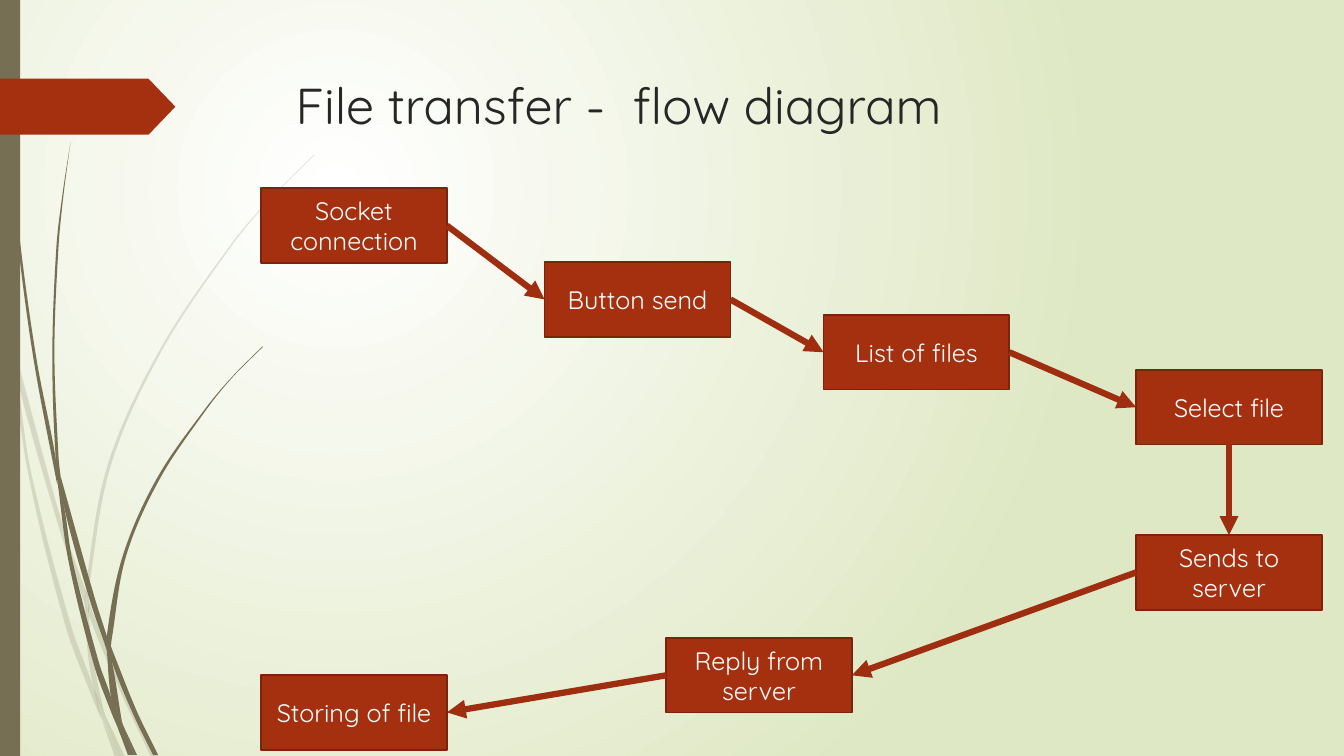
from itertools import pairwise

from lxml.etree import SubElement
from pptx import Presentation
from pptx.dml.color import RGBColor
from pptx.enum.shapes import MSO_CONNECTOR, MSO_SHAPE
from pptx.enum.text import MSO_ANCHOR, MSO_AUTO_SIZE, PP_ALIGN
from pptx.oxml import parse_xml
from pptx.oxml.ns import nsdecls, qn
from pptx.util import Pt

FONT = "Quicksand"
RUST, RUST_EDGE, RUST_ARROW = "A53010", "7A240C", "9E2E0F"
OLIVE, WHITE, INK, LIME = "766F54", "FFFFFF", "262626", "DFE8C4"
TOP, LEFT, BOTTOM, RIGHT = range(4)  # connection sites of a rectangle
BOX_W, BOX_H = 132.75, 53.25

# Each blade: its left edge and its right edge, both from tip to root
PALE_BLADES = [
    ([(0, 215), (7.2, 247.7), (7.9, 252)], [(0, 203), (6.5, 231.8), (7.9, 252)]),
    ([(10.1, 248.4), (12.2, 270.7), (41.8, 375.8), (60.5, 431.3)],
     [(10.1, 248.4), (44.6, 374.4), (61.2, 421.9)]),
    ([(63.4, 429.1), (63.4, 439.2), (88.6, 499.7), (108, 540.7)],
     [(63.4, 429.1), (66.2, 437), (91.4, 498.2), (111.6, 540.7)]),
    ([(75.6, 511.9), (85.7, 540.7)], [(75.6, 511.9), (89.3, 540.7)]),
    ([(7.9, 252), (20.2, 338.4), (46.8, 447.1), (66.2, 499), (72.7, 514.1)],
     [(7.9, 252), (12.2, 270.7), (22.3, 337.7), (50.4, 445.7), (67, 491.8), (72.7, 514.1)]),
    ([(60.5, 431.3), (62.6, 465.1), (67, 491.8), (75.6, 511.9)],
     [(60.5, 431.3), (63.4, 439.2), (65.5, 465.1), (74.2, 508.3), (75.6, 511.9)]),
    ([(224.6, 110.2), (193, 141.8), (164.2, 175.7), (113.8, 250.6), (77, 331.9),
      (61.2, 420.5), (63.4, 429.1)],
     [(224.6, 110.9), (193, 142.6), (164.9, 176.4), (115.2, 251.3), (79.2, 332.6),
      (63.4, 420.5), (63.4, 429.1)]),
    ([(72.7, 514.1), (82.1, 540.7)], [(72.7, 514.1), (85.7, 540.7)]),
    ([(61.2, 421.9), (60.5, 431.3), (63.4, 437.8)], [(61.2, 421.9), (63.4, 429.1), (63.4, 439.2)]),
    ([(67, 491.8), (71.3, 509), (85.7, 540.7)], [(67, 491.8), (75.6, 511.9), (85.7, 540.7)]),
]
DARK_BLADES = [
    ([(2.2, 0), (2.9, 34.6), (5, 79.2), (12.2, 167.8), (23.8, 255.6), (40.3, 343.4), (41, 346.3)],
     [(2.9, 0), (3.6, 34.6), (5.8, 78.5), (13.7, 167), (25.9, 255.6), (39.6, 326.2), (41, 346.3)]),
    ([(43.2, 339.8), (46.1, 363.6), (63.4, 426.2), (76.3, 464.4)],
     [(43.2, 339.8), (67, 424.8), (76.3, 454.3)]),
    ([(79.2, 461.5), (79.9, 472.3), (95, 509.8), (109.4, 539.3)],
     [(79.2, 461.5), (81.4, 467.3), (97.9, 508.3), (113, 539.3)]),
    ([(41, 343.4), (49, 401), (67, 474.5), (79.9, 509.8), (84.2, 519.8)],
     [(41, 343.4), (46.1, 363.6), (51.8, 400.3), (70.6, 473), (79.2, 497.5), (84.2, 519.8)]),
    ([(50.4, 101.5), (44.6, 139), (40.3, 176.4), (37.4, 251.3), (39.6, 323.3), (43.2, 339.8)],
     [(50.4, 101.5), (45.4, 139), (41.8, 176.4), (38.9, 251.3), (41.8, 326.2), (43.2, 339.8)]),
    ([(87.8, 517.7), (95.8, 539.3)], [(87.8, 517.7), (97.9, 539.3)]),
    ([(39.6, 323.3), (41, 343.4), (46.1, 363.6)], [(39.6, 323.3), (43.2, 339.8), (46.1, 363.6)]),
    ([(187.2, 247.7), (166.3, 268.6), (146.9, 291.6), (112.3, 341.3), (87.8, 396.7),
      (76.3, 454.3), (79.2, 461.5)],
     [(187.9, 247.7), (166.3, 269.3), (147.6, 292.3), (113.8, 342.7), (90, 397.4),
      (79.9, 455.8), (79.2, 461.5)]),
    ([(84.2, 519.8), (91.4, 539.3)], [(84.2, 519.8), (94.3, 539.3)]),
    ([(76.3, 464.4), (79.2, 497.5), (83.5, 508.3), (87.8, 517.7)],
     [(76.3, 464.4), (79.9, 472.3), (87.1, 515.5), (87.8, 517.7)]),
    ([(76.3, 454.3), (76.3, 464.4), (79.9, 472.3)], [(76.3, 454.3), (79.2, 461.5), (79.9, 472.3)]),
    ([(79.2, 497.5), (84.2, 519.8), (93.6, 539.3)], [(79.2, 497.5), (87.8, 517.7), (95.8, 539.3)]),
]

# Label, left and top of each step, in flow order
STEPS = [("Socket connection", 186.5, 134.5), ("Button send", 389, 187.25),
         ("List of files", 588.25, 225), ("Select file", 811.5, 264.25),
         ("Sends to server", 811.5, 382.25), ("Reply from server", 475.75, 455.75),
         ("Storing of file", 186.5, 482.25)]
EXITS = [(RIGHT, LEFT)] * 3 + [(BOTTOM, TOP)] + [(LEFT, RIGHT)] * 2


def rgb(code):
    """Turn a hex string into a colour."""
    return RGBColor.from_string(code)


def paint(sp, fill, edge=None, alpha=100):
    """Give a shape a flat fill, an optional edge and no shadow."""
    sp.shadow.inherit = False
    sp.fill.solid()
    sp.fill.fore_color.rgb = rgb(fill)
    if alpha < 100:
        clr = sp._element.spPr.find(qn("a:solidFill"))[0]
        SubElement(clr, qn("a:alpha")).set("val", str(alpha * 1000))
    if edge:
        sp.line.color.rgb = rgb(edge)
        sp.line.width = Pt(1.25)
    else:
        sp.line.fill.background()


def write(p, text, size, color, align):
    """Add one formatted run to an aligned paragraph."""
    p.alignment = align
    r = p.add_run()
    r.text = text
    r.font.name, r.font.size = FONT, Pt(size)
    r.font.color.rgb = rgb(color)


def add_background(s):
    """Fill the slide with a glow centred in its upper left quarter."""
    stops = "".join(f'<a:gs pos="{pos}"><a:srgbClr val="{c}"/></a:gs>'
                    for pos, c in ((0, WHITE), (100000, LIME)))
    s._element.cSld.insert(0, parse_xml(
        f'<p:bg {nsdecls("p", "a")}><p:bgPr><a:gradFill rotWithShape="1">'
        f'<a:gsLst>{stops}</a:gsLst><a:path path="circle">'
        '<a:fillToRect l="50000" t="50000" r="100000" b="100000"/></a:path>'
        '</a:gradFill><a:effectLst/></p:bgPr></p:bg>'))


def bend(sp, split):
    """Turn the straight sides before and after the split point into curves."""
    nodes = list(sp._element.iter(qn("a:pt")))
    pts = [complex(int(n.get("x")), int(n.get("y"))) for n in nodes]
    slopes = []
    for run in (pts[:split], pts[split:]):
        ext = [run[0], *run, run[-1]]
        slopes += [(b - a) / (abs(b - a) or 1) for a, b in zip(ext, ext[2:])]
    for i in range(1, len(pts)):
        if i == split:
            continue
        reach = abs(pts[i] - pts[i - 1]) / 3
        side = nodes[i].getparent()
        side.tag = qn("a:cubicBezTo")
        controls = (pts[i - 1] + slopes[i - 1] * reach, pts[i] - slopes[i] * reach)
        for k, c in enumerate(controls):
            pt = SubElement(side, qn("a:pt"))
            pt.set("x", str(round(c.real)))
            pt.set("y", str(round(c.imag)))
            side.insert(k, pt)


def add_grass(s, x, y, blades, alpha):
    """Draw curved blades in one group, relative to x and y."""
    shapes = s.shapes.add_group_shape().shapes
    for left, right in blades:
        outline = [(Pt(x + px), Pt(y + py)) for px, py in left + right[::-1]]
        fb = shapes.build_freeform(*outline[0])
        fb.add_line_segments(outline[1:])
        sp = fb.convert_to_shape()
        bend(sp, len(left))
        paint(sp, OLIVE, alpha=alpha)


def add_edge(s, x, y, h):
    """Draw the left bar and the pointed ribbon across it."""
    bar = s.shapes.add_shape(MSO_SHAPE.RECTANGLE, Pt(x), Pt(y), Pt(14.4), Pt(h))
    paint(bar, OLIVE)
    ribbon = s.shapes.add_shape(MSO_SHAPE.PENTAGON, Pt(x), Pt(y + 56.25), Pt(125.25), Pt(40))
    ribbon.adjustments[0] = 0.48
    paint(ribbon, RUST)


def add_title(s, x, y, w, h):
    """Place and fill the title placeholder."""
    sp = s.shapes.title
    sp.left, sp.top, sp.width, sp.height = Pt(x), Pt(y), Pt(w), Pt(h)
    tf = sp.text_frame
    tf.auto_size = MSO_AUTO_SIZE.NONE
    tf.vertical_anchor = MSO_ANCHOR.TOP
    write(tf.paragraphs[0], "File transfer -  flow diagram", 36, INK, PP_ALIGN.LEFT)


def add_step(s, text, x, y):
    """Draw one labelled step box and return it."""
    sp = s.shapes.add_shape(MSO_SHAPE.RECTANGLE, Pt(x), Pt(y), Pt(BOX_W), Pt(BOX_H))
    paint(sp, RUST, RUST_EDGE)
    tf = sp.text_frame
    tf.word_wrap = True
    tf.vertical_anchor = MSO_ANCHOR.MIDDLE
    write(tf.paragraphs[0], text, 18, WHITE, PP_ALIGN.CENTER)
    return sp


def add_arrow(s, start, end, sites):
    """Join two step boxes with an arrow between the given sites."""
    cn = s.shapes.add_connector(MSO_CONNECTOR.STRAIGHT, 0, 0, 0, 0)
    cn.begin_connect(start, sites[0])
    cn.end_connect(end, sites[1])
    cn.line.color.rgb = rgb(RUST_ARROW)
    cn.line.width = Pt(4.5)
    SubElement(cn.line._get_or_add_ln(), qn("a:tailEnd")).set("type", "triangle")
    SubElement(cn._element.spPr, qn("a:effectLst"))


def add_flow(s, x, y):
    """Draw all steps relative to x and y, then the arrows between them."""
    boxes = [add_step(s, text, x + dx, y + dy) for text, dx, dy in STEPS]
    for (start, end), sites in zip(pairwise(boxes), EXITS):
        add_arrow(s, start, end, sites)


prs = Presentation()
prs.slide_width, prs.slide_height = Pt(960), Pt(540)
s = prs.slides.add_slide(prs.slide_layouts[5])
add_background(s)
add_grass(s, 0, 0, PALE_BLADES, 20)
add_grass(s, 0, 0, DARK_BLADES, 100)
add_edge(s, 0, 0, 540)
add_title(s, 204, 49, 702, 100.8)
add_flow(s, 0, 0)
prs.save("out.pptx")
